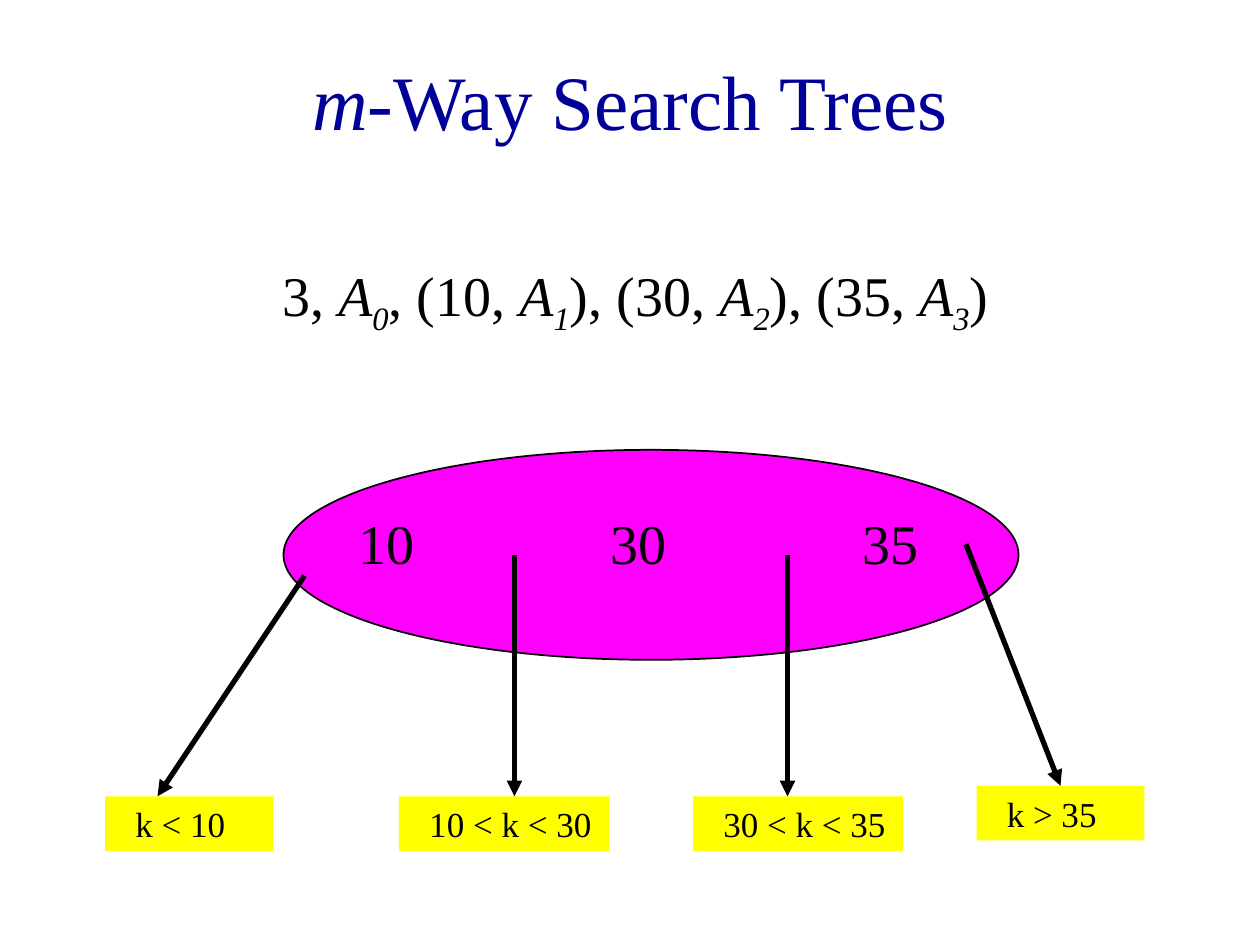
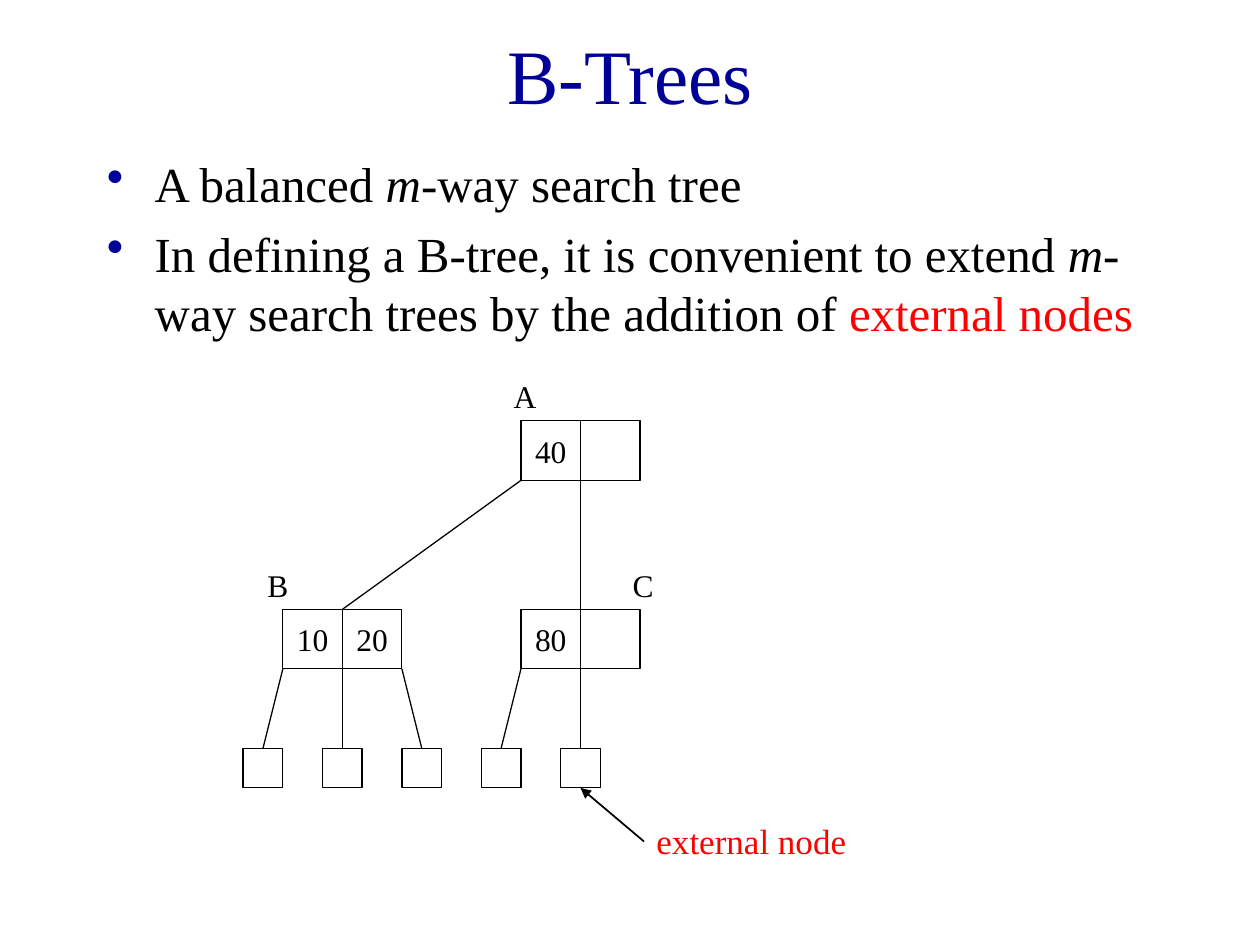
from dataclasses import dataclass
from typing import NamedTuple, Optional

from lxml.etree import SubElement
from pptx import Presentation
from pptx.dml.color import RGBColor
from pptx.enum.shapes import MSO_CONNECTOR, MSO_SHAPE
from pptx.enum.text import MSO_ANCHOR, PP_ALIGN
from pptx.oxml.ns import qn
from pptx.util import Inches, Pt


@dataclass(frozen=True)
class Theme:
    font: str = "Times New Roman"
    navy: str = "000099"
    ink: str = "000000"
    accent: str = "FF0000"
    node: str = "FF00FF"
    range_fill: str = "FFFF00"
    title: int = 44
    formula: int = 32
    body: int = 28
    caption: int = 20
    cell: int = 18
    hairline: float = 0.75
    outline: float = 1
    arrow: float = 3


THEME = Theme()


class Span(NamedTuple):
    text: str
    italic: bool = False
    subscript: bool = False
    color: Optional[str] = None


class Box(NamedTuple):
    col: float
    row: float
    cols: float
    rows: float


class Point(NamedTuple):
    col: float
    row: float


@dataclass(frozen=True)
class Grid:
    left: float
    top: float
    unit: float

    def point(self, point: Point) -> tuple:
        return (Inches(self.left + point.col * self.unit),
                Inches(self.top + point.row * self.unit))

    def frame(self, box: Box) -> tuple:
        return (*self.point(Point(box.col, box.row)),
                Inches(box.cols * self.unit), Inches(box.rows * self.unit))


PAGE = Grid(0, 0, 1 / 12)
SEARCH = Grid(0, 3.57, 1 / 12)
TREE = Grid(1.93, 3.34, 0.1575)


@dataclass(frozen=True)
class KeyRange:
    text: str
    box: Box
    start: Point
    end: Point
    centred: bool = False


@dataclass(frozen=True)
class TreeNode:
    name: str
    name_at: Point
    col: float
    row: float
    keys: tuple


CELL = 3
LEAF = 2
LEAF_PITCH = 4
LEAF_ROW = 16.5

RANGES = (
    KeyRange("k < 10", Box(10, 33, 16, 5.2), Point(29, 12), Point(15, 33)),
    KeyRange("10 < k < 30", Box(38, 33, 20, 5.2), Point(49, 10), Point(49, 33)),
    KeyRange("30 < k < 35", Box(66, 33, 20, 5.2), Point(75, 10), Point(75, 33)),
    KeyRange("k > 35", Box(93, 32, 16, 5.2), Point(92, 9), Point(101, 32), True),
)

ROOT = TreeNode("A", Point(13, -2.5), 14, 0, ("40", ""))
LEFT_CHILD = TreeNode("B", Point(0.6, 7), 2, 9.5, ("10", "20"))
RIGHT_CHILD = TreeNode("C", Point(19, 7), 14, 9.5, ("80", ""))


def rgb(color: str) -> RGBColor:
    return RGBColor.from_string(color)


def write(shape, *paragraphs, size: float, color: str = THEME.ink,
          align=PP_ALIGN.LEFT, anchor=MSO_ANCHOR.TOP, wrap: bool = True,
          left_inset: float = 0.1, top_inset: float = 0.05,
          bullet: str = "", tabs: tuple = (), gap: float = 0):
    frame = shape.text_frame
    frame.word_wrap = wrap
    frame.vertical_anchor = anchor
    frame.margin_left, frame.margin_top = Inches(left_inset), Inches(top_inset)
    for index, spans in enumerate(paragraphs):
        paragraph = frame.paragraphs[0] if index == 0 else frame.add_paragraph()
        properties = paragraph._p.get_or_add_pPr()
        if bullet:
            properties.set("marL", str(Inches(0.38)))
            properties.set("indent", str(-Inches(0.38)))
            bullet_color = SubElement(properties, qn("a:buClr"))
            SubElement(bullet_color, qn("a:srgbClr"), val=THEME.navy)
            SubElement(properties, qn("a:buChar"), char=bullet)
        if tabs:
            stops = SubElement(properties, qn("a:tabLst"))
            for stop in tabs:
                SubElement(stops, qn("a:tab"), pos=str(Inches(stop)), algn="l")
        paragraph.alignment = align
        if index:
            paragraph.space_before = Pt(gap)
        for span in [Span(spans)] if isinstance(spans, str) else spans:
            run = paragraph.add_run()
            run.text = span.text
            run.font.name = THEME.font
            run.font.size = Pt(size)
            run.font.italic = span.italic
            run.font.color.rgb = rgb(span.color or color)
            if span.subscript:
                run._r.get_or_add_rPr().set("baseline", "-25000")
    return shape


def add_text(slide, grid: Grid, box: Box, *paragraphs, **text_format):
    return write(slide.shapes.add_textbox(*grid.frame(box)), *paragraphs, **text_format)


def add_block(slide, grid: Grid, box: Box, preset=MSO_SHAPE.RECTANGLE,
              fill: Optional[str] = None, line: Optional[float] = THEME.hairline):
    block = slide.shapes.add_shape(preset, *grid.frame(box))
    block.shadow.inherit = False
    if fill:
        block.fill.solid()
        block.fill.fore_color.rgb = rgb(fill)
    else:
        block.fill.background()
    if line:
        block.line.color.rgb = rgb(THEME.ink)
        block.line.width = Pt(line)
    else:
        block.line.fill.background()
    return block


def add_edge(slide, grid: Grid, start: Point, end: Point,
             width: float = THEME.hairline, arrow: bool = False):
    edge = slide.shapes.add_connector(
        MSO_CONNECTOR.STRAIGHT, *grid.point(start), *grid.point(end))
    edge.line.color.rgb = rgb(THEME.ink)
    edge.line.width = Pt(width)
    if arrow:
        SubElement(edge.line._get_or_add_ln(), qn("a:tailEnd"), type="triangle")
    SubElement(edge._element.spPr, qn("a:effectLst"))
    return edge


def add_titled_slide(deck, title, rows: float):
    slide = deck.slides.add_slide(deck.slide_layouts[6])
    add_text(slide, PAGE, Box(9, 2, 102, rows), title, size=THEME.title,
             color=THEME.navy, align=PP_ALIGN.CENTER, anchor=MSO_ANCHOR.MIDDLE)
    return slide


def add_tree_node(slide, node: TreeNode) -> None:
    for index, key in enumerate(node.keys):
        cell = add_block(slide, TREE, Box(node.col + index * CELL, node.row, CELL, CELL))
        if key:
            write(cell, key, size=THEME.cell, align=PP_ALIGN.CENTER,
                  anchor=MSO_ANCHOR.MIDDLE, wrap=False)
    add_text(slide, TREE, Box(*node.name_at, 2.4, 2.54), node.name,
             size=THEME.cell, wrap=False)


def branch(node: TreeNode, index: int) -> Point:
    return Point(node.col + index * CELL, node.row + CELL)


def build_search_slide(deck) -> None:
    slide = add_titled_slide(deck, [Span("m", True), Span("-Way Search Trees")], 15)
    formula = [Span("3, ")]
    for index, lead in enumerate(("", ", (10, ", "), (30, ", "), (35, ")):
        if lead:
            formula.append(Span(lead))
        formula += [Span("A", True), Span(str(index), True, True)]
    formula.append(Span(")"))
    add_text(slide, PAGE, Box(5, 17, 111, 19), formula, size=THEME.formula,
             align=PP_ALIGN.CENTER, top_inset=0.65)

    add_block(slide, SEARCH, Box(27, 0, 70, 20), MSO_SHAPE.OVAL,
              THEME.node, THEME.outline)
    add_text(slide, SEARCH, Box(33, 5, 59, 7.5), "10\t30\t35",
             size=THEME.formula, tabs=(2, 4))
    for key_range in RANGES:
        target = add_block(slide, SEARCH, key_range.box, fill=THEME.range_fill, line=None)
        write(target, key_range.text, size=THEME.caption, left_inset=0.24)
        pointer = add_edge(slide, SEARCH, key_range.start, key_range.end,
                           THEME.arrow, arrow=True)
        if key_range.centred:
            pointer.end_connect(target, 0)


def build_b_tree_slide(deck) -> None:
    slide = add_titled_slide(deck, "B-Trees", 10)
    add_text(
        slide, PAGE, Box(9, 14, 102, 19.8),
        [Span("A balanced "), Span("m", True), Span("-way search tree")],
        [Span("In defining a B-tree, it is convenient to extend "), Span("m", True),
         Span("-way search trees by the addition of "),
         Span("external nodes", color=THEME.accent)],
        size=THEME.body, bullet="•", gap=6.5)

    for node in (ROOT, LEFT_CHILD, RIGHT_CHILD):
        add_tree_node(slide, node)
    for index, child in enumerate((LEFT_CHILD, RIGHT_CHILD)):
        add_edge(slide, TREE, branch(ROOT, index), Point(child.col + CELL, child.row))

    leaf_parents = [(LEFT_CHILD, 0), (LEFT_CHILD, 1), (LEFT_CHILD, 2),
                    (RIGHT_CHILD, 0), (RIGHT_CHILD, 1)]
    for position, (parent, index) in enumerate(leaf_parents):
        leaf_col = position * LEAF_PITCH
        leaf = add_block(slide, TREE, Box(leaf_col, LEAF_ROW, LEAF, LEAF))
        edge = add_edge(slide, TREE, branch(parent, index),
                        Point(leaf_col + LEAF / 2, LEAF_ROW))
        edge.end_connect(leaf, 0)

    caption = add_text(slide, TREE, Box(20.2, 19.8, 10.9, 2.8), "external node",
                       size=THEME.caption, color=THEME.accent, wrap=False)
    pointer = add_edge(slide, TREE, Point(20.2, 21.2),
                       Point(leaf_col + LEAF / 2, LEAF_ROW + LEAF),
                       THEME.outline, arrow=True)
    pointer.begin_connect(caption, 1)
    pointer.end_connect(leaf, 2)


def main() -> None:
    deck = Presentation()
    deck.slide_width, deck.slide_height = Inches(10), Inches(7.5)
    build_search_slide(deck)
    build_b_tree_slide(deck)
    deck.save("out.pptx")


if __name__ == "__main__":
    main()
